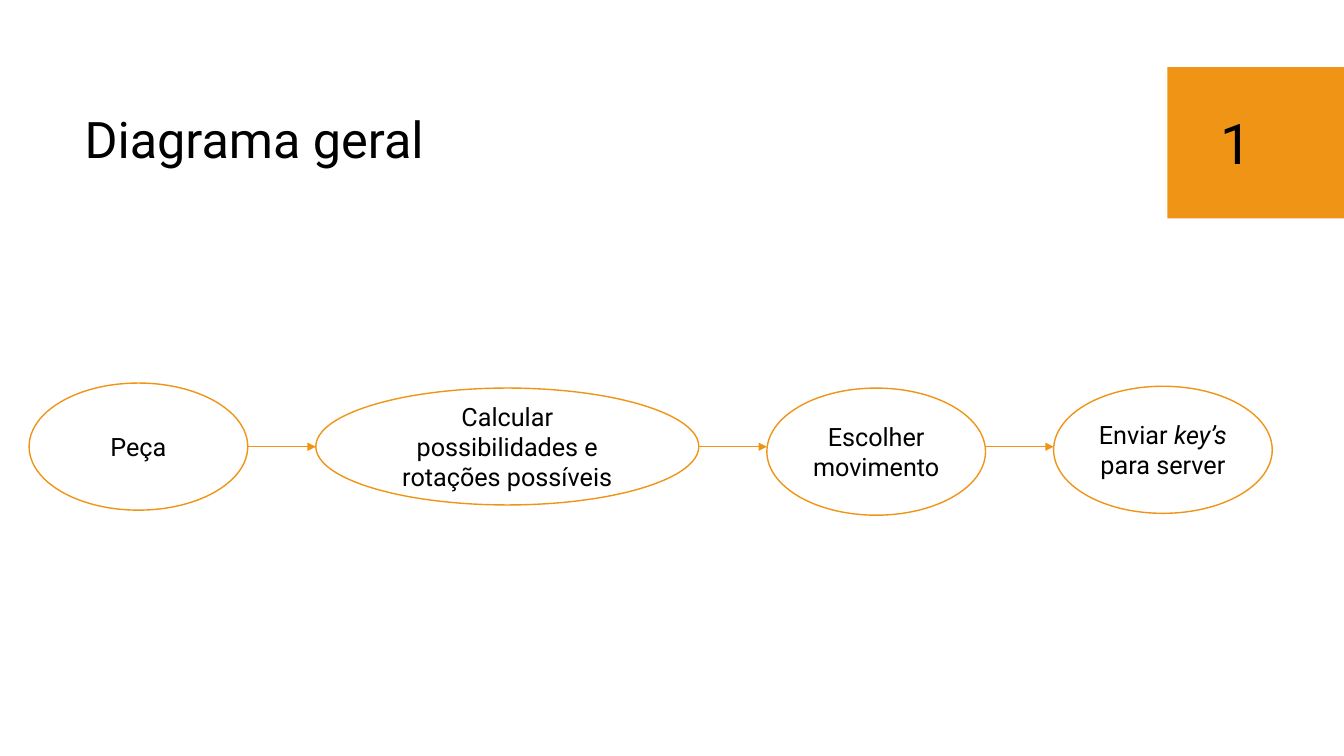
from dataclasses import dataclass

from lxml import etree
from pptx import Presentation
from pptx.dml.color import RGBColor
from pptx.enum.shapes import MSO_CONNECTOR, MSO_SHAPE
from pptx.enum.text import MSO_ANCHOR, PP_ALIGN
from pptx.oxml.ns import qn
from pptx.slide import Slide
from pptx.text.text import TextFrame
from pptx.util import Pt

ORANGE = RGBColor(0xF0, 0x94, 0x15)
WHITE = RGBColor(0xFF, 0xFF, 0xFF)
BLACK = RGBColor(0x00, 0x00, 0x00)
OVAL, RECT = MSO_SHAPE.OVAL, MSO_SHAPE.RECTANGLE
LINE = MSO_CONNECTOR.STRAIGHT
TOP, MIDDLE = MSO_ANCHOR.TOP, MSO_ANCHOR.MIDDLE
LEFT, CENTER = PP_ALIGN.LEFT, PP_ALIGN.CENTER
FONT = {"name": "Roboto", "bold": False}
START, GAP, FLOW = 20.8, 48.6, 319.1


@dataclass
class Run:
    text: str
    italic: bool = False


@dataclass
class Label:
    text: str
    box: tuple[float, float, float, float]
    size: float
    anchor: MSO_ANCHOR
    space: float


@dataclass
class Step:
    runs: list[Run]
    top: float
    width: float = 156.2
    height: float = 90.8


LABELS = [
    Label("Diagrama geral", (53.3, 59, 756.7, 85), 36, MIDDLE, 0.9),
    Label("1", (864.7, 74.2, 58.3, 55.4), 40, TOP, 1),
]
STEPS = [
    Step([Run("Peça")], 273.6),
    Step([Run("Calcular possibilidades e rotações possíveis")], 277.2, 273.6, 83.5),
    Step([Run("Escolher movimento")], 277.2),
    Step([Run("Enviar "), Run("key’s", True), Run(" para server")], 275.9),
]


def write(frame: TextFrame, runs: list[Run], size: float, align: PP_ALIGN,
          anchor: MSO_ANCHOR, space: float = 1) -> None:
    """Fill a text frame with one paragraph of runs."""
    frame.word_wrap = True
    frame.vertical_anchor = anchor
    para = frame.paragraphs[0]
    para.alignment = align
    para.line_spacing = space
    for item in runs:
        run = para.add_run()
        run.text = item.text
        for key, value in {**FONT, "size": Pt(size), "italic": item.italic}.items():
            setattr(run.font, key, value)
        run.font.color.rgb = BLACK


def add_badge(slide: Slide) -> None:
    """Draw the orange block behind the slide number."""
    badge = slide.shapes.add_shape(RECT, Pt(833.8), Pt(48), Pt(126.2), Pt(108))
    badge.shadow.inherit = False
    badge.fill.solid()
    badge.fill.fore_color.rgb = ORANGE
    badge.line.fill.background()


def add_label(slide: Slide, label: Label) -> None:
    """Draw a plain text box."""
    box = slide.shapes.add_textbox(*map(Pt, label.box))
    write(box.text_frame, [Run(label.text)], label.size, LEFT, label.anchor, label.space)


def add_step(slide: Slide, step: Step, left: float) -> None:
    """Draw one oval of the flow."""
    oval = slide.shapes.add_shape(OVAL, Pt(left), Pt(step.top), Pt(step.width), Pt(step.height))
    oval.shadow.inherit = False
    oval.fill.solid()
    oval.fill.fore_color.rgb = WHITE
    oval.line.color.rgb = ORANGE
    oval.line.width = Pt(1)
    write(oval.text_frame, step.runs, 18, CENTER, MIDDLE)


def add_arrow(slide: Slide, left: float) -> None:
    """Draw an arrow across the gap between two ovals."""
    arrow = slide.shapes.add_connector(LINE, Pt(left), Pt(FLOW), Pt(left + GAP), Pt(FLOW))
    arrow.line.color.rgb = ORANGE
    arrow.line.width = Pt(0.75)
    etree.SubElement(arrow.line._get_or_add_ln(), qn("a:tailEnd"), type="triangle")
    etree.SubElement(arrow._element.spPr, qn("a:effectLst"))


def main() -> None:
    """Build the slide and save it."""
    deck = Presentation()
    deck.slide_width, deck.slide_height = Pt(960), Pt(540)
    slide = deck.slides.add_slide(deck.slide_layouts[6])
    add_badge(slide)
    for label in LABELS:
        add_label(slide, label)
    left = START
    for step in STEPS:
        add_step(slide, step, left)
        left += step.width
        if step is not STEPS[-1]:
            add_arrow(slide, left)
        left += GAP
    deck.save("out.pptx")


if __name__ == "__main__":
    main()
